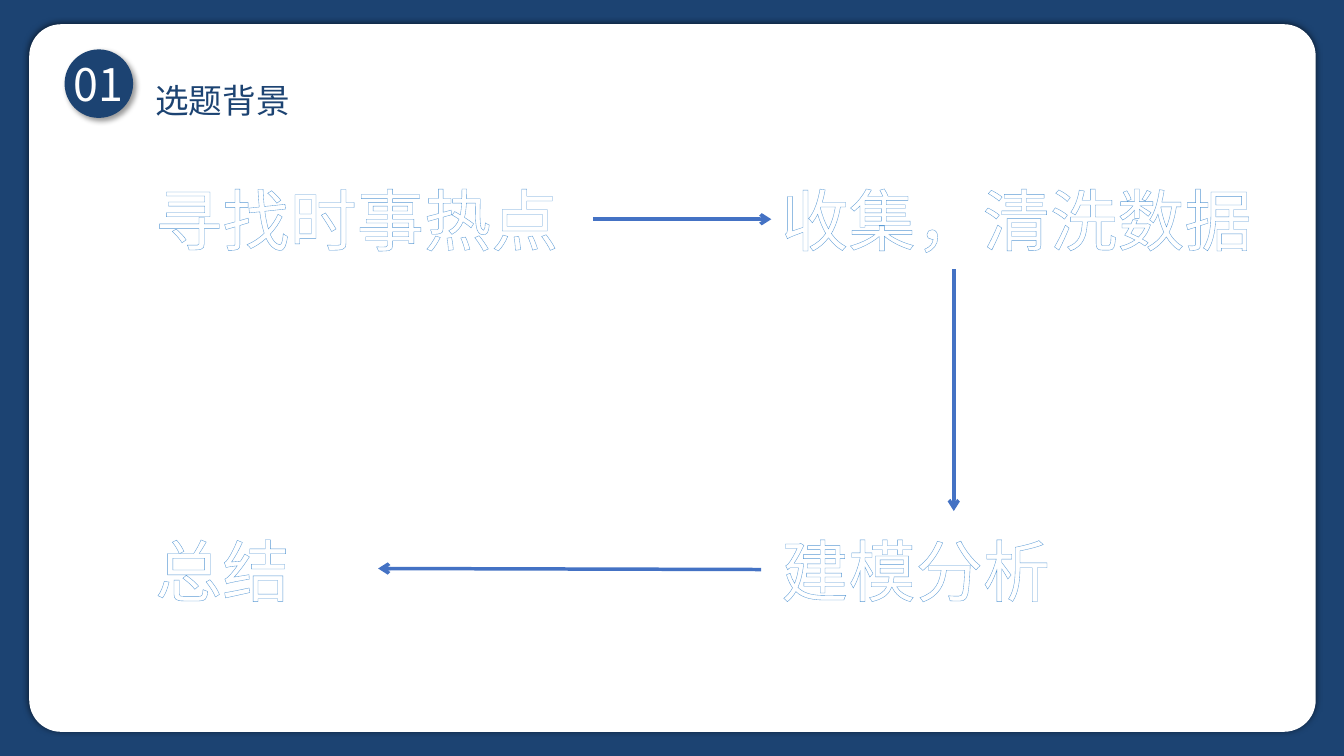
from lxml import etree
from pptx import Presentation
from pptx.dml.color import RGBColor
from pptx.enum import dml, shapes, text
from pptx.oxml import ns
from pptx.util import Inches, Pt

COLORS = {
    "navy": "1C4372", "white": "FFFFFF", "number": "FEFEFE", "black": "000000",
    "arrow": "4472C4", "hatch": "9DC3E6", "outline": "5B9BD5",
}
FONT = "Noto Sans CJK SC"


def color(name):
    return RGBColor.from_string(COLORS[name])


def add_xml(parent, tag, **attributes):
    return etree.SubElement(parent, ns.qn(tag), attributes)


def add_color_xml(parent, name):
    return add_xml(parent, "a:srgbClr", val=COLORS[name])


def write(shape, content, size=48, fill="navy", align=text.PP_ALIGN.LEFT,
          spacing=1.0, outline=None):
    frame = shape.text_frame
    frame.word_wrap = True
    frame.auto_size = text.MSO_AUTO_SIZE.NONE
    frame.vertical_anchor = text.MSO_ANCHOR.TOP
    paragraph = frame.paragraphs[0]
    paragraph.alignment = align
    paragraph.line_spacing = spacing
    run = paragraph.add_run()
    run.text = content
    font = run.font
    font.size = Pt(size)
    if outline:
        font.fill.patterned()
        font.fill.pattern = dml.MSO_PATTERN.LIGHT_DOWNWARD_DIAGONAL
        font.fill.fore_color.rgb = color("hatch")
        font.fill.back_color.rgb = color("white")
    else:
        font.color.rgb = color(fill)
    font.name = FONT
    properties = run._r.get_or_add_rPr()
    add_xml(properties, "a:ea", typeface=FONT)
    if outline:
        line = add_xml(properties, "a:ln", w=str(Pt(1)))
        add_color_xml(add_xml(line, "a:solidFill"), outline)
        properties.insert(0, line)


class SlideBuilder:
    def __init__(self, presentation):
        self.slide = presentation.slides.add_slide(presentation.slide_layouts[5])
        self.shapes = self.slide.shapes

    def panel(self, kind, box, fill, shadow=None):
        shape = self.shapes.add_shape(kind, *map(Inches, box))
        shape.fill.solid()
        shape.fill.fore_color.rgb = color(fill)
        shape.line.fill.background()
        shape.shadow.inherit = False
        if shadow:
            opacity, blur, distance, angle = shadow
            effects = shape._element.spPr.find(ns.qn("a:effectLst"))
            outer = add_xml(effects, "a:outerShdw", blurRad=str(Pt(blur)),
                            dist=str(Pt(distance)), dir=str(angle * 60000),
                            algn="ctr", rotWithShape="0")
            add_xml(add_color_xml(outer, "black"), "a:alpha", val=str(opacity * 1000))
        return shape

    def title(self, content, box, **style):
        title = self.shapes.title
        title.left, title.top, title.width, title.height = map(Inches, box)
        write(title, content, **style)
        title._element.getparent().append(title._element)

    def label(self, content, box, **style):
        shape = self.shapes.add_textbox(*map(Inches, box))
        write(shape, content, **style)
        return shape

    def arrow(self, start, end):
        connector = self.shapes.add_connector(
            shapes.MSO_CONNECTOR.STRAIGHT, *map(Inches, start + end))
        connector.line.color.rgb = color("arrow")
        connector.line.width = Pt(2.5)
        add_xml(connector.line._get_or_add_ln(), "a:tailEnd", type="arrow")
        add_xml(connector._element.spPr, "a:effectLst")
        return connector


def main():
    presentation = Presentation()
    presentation.slide_width = Inches(13.33)
    presentation.slide_height = Inches(7.5)
    builder = SlideBuilder(presentation)
    kinds = shapes.MSO_SHAPE

    builder.panel(kinds.RECTANGLE, (0, 0, 13.33, 7.5), "navy")
    card = builder.panel(kinds.ROUNDED_RECTANGLE, (0.29, 0.24, 12.76, 7.02),
                         "white", shadow=(68, 5, 0, 0))
    card.adjustments[0] = 0.045
    builder.panel(kinds.OVAL, (0.64, 0.49, 0.68, 0.68), "navy", shadow=(40, 4, 3, 45))
    builder.label("01", (0.17, 0.51, 1.62, 0.64), size=32, fill="number",
                  align=text.PP_ALIGN.CENTER)
    builder.title("选题背景", (1.44, 0.44, 2.99, 1.42), size=24, spacing=1.75)

    left, right, top, bottom = 1.44, 7.65, 1.72, 5.2
    steps = [
        ("寻找时事热点", left, top, 4.44),
        ("收集，清洗数据", right, top, 5.57),
        ("建模分析", right, bottom, 4.44),
        ("总结", left, bottom, 4.44),
    ]
    topic, data, *_ = [
        builder.label(content, (x, y, width, 0.91), outline="outline")
        for content, x, y, width in steps
    ]

    to_data = builder.arrow((5.88, 2.18), (7.65, 2.18))
    to_data.begin_connect(topic, 3)
    to_data.end_connect(data, 1)
    builder.arrow((9.46, 2.67), (9.46, 5.07))
    builder.arrow((7.55, 5.65), (3.75, 5.64))

    presentation.save("out.pptx")


if __name__ == "__main__":
    main()
